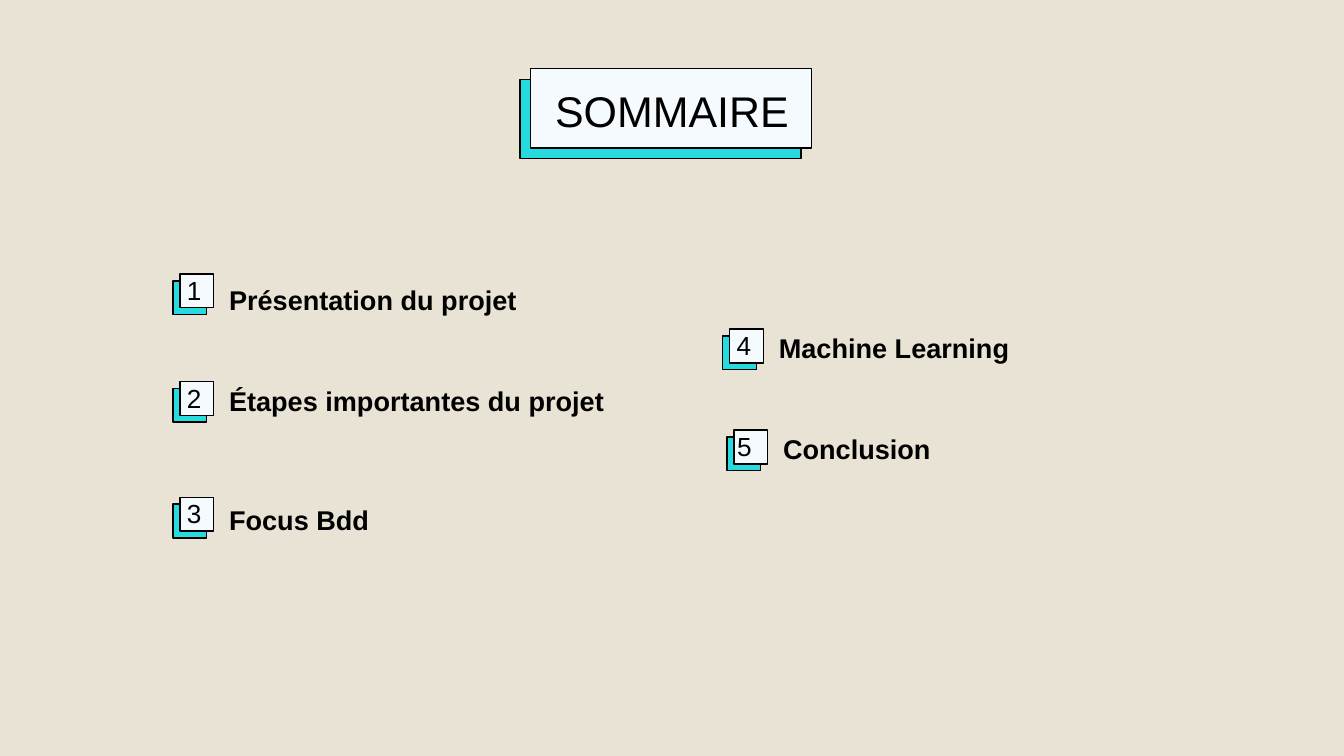
"""Build the SOMMAIRE slide: a framed title and five numbered topics."""
from pptx import Presentation
from pptx.dml.color import RGBColor
from pptx.enum.shapes import MSO_SHAPE
from pptx.enum.text import MSO_ANCHOR as ANCHOR, PP_ALIGN as ALIGN
from pptx.util import Cm, Pt

COLORS = {"background": "E8E3D4", "accent": "26DBE0", "panel": "F5FAFF", "ink": "000000"}
TITLE_FORMAT = {"name": "Arial", "size": Pt(23)}
NUMBER_FORMAT = {"name": "Arial", "size": Pt(14)}
LABEL_FORMAT = {"name": "Arial", "size": Pt(14.5), "bold": True}
TILE = 0.64

presentation = Presentation()
presentation.slide_width, presentation.slide_height = Cm(25.4), Cm(14.29)
slide = presentation.slides.add_slide(presentation.slide_layouts[6])
slide.background.fill.solid()
slide.background.fill.fore_color.rgb = RGBColor.from_string(COLORS["background"])


def add_panel(left, top, width, height, offset):
    layers = (("accent", left - offset, top + offset), ("panel", left, top))
    for color, x, y in layers:
        shape = slide.shapes.add_shape(MSO_SHAPE.RECTANGLE, Cm(x), Cm(y), Cm(width), Cm(height))
        shape.shadow.inherit = False
        shape.fill.solid()
        shape.fill.fore_color.rgb = RGBColor.from_string(COLORS[color])
        shape.line.color.rgb = RGBColor.from_string(COLORS["ink"])
        shape.line.width = Pt(0.75)


def add_text(text, left, top, width, height, font_format, align=ALIGN.LEFT, anchor=ANCHOR.TOP, side=0.25):
    box = slide.shapes.add_textbox(Cm(left), Cm(top), Cm(width), Cm(height))
    frame_format = {
        "word_wrap": True, "vertical_anchor": anchor,
        "margin_left": Cm(side), "margin_right": Cm(side),
        "margin_top": Cm(0.25), "margin_bottom": Cm(0.25),
    }
    for name, value in frame_format.items():
        setattr(box.text_frame, name, value)
    paragraph = box.text_frame.paragraphs[0]
    paragraph.text = text
    paragraph.alignment = align
    for name, value in font_format.items():
        setattr(paragraph.font, name, value)
    paragraph.font.color.rgb = RGBColor.from_string(COLORS["ink"])


add_panel(10.03, 1.3, 5.31, 1.5, 0.2)
add_text("SOMMAIRE", 10.23, 1.33, 4.95, 1.5, TITLE_FORMAT, ALIGN.CENTER, ANCHOR.MIDDLE)

topics = [
    ("Présentation du projet", 3.4, 5.18, 5.11, 0.05),
    ("Étapes importantes du projet", 3.4, 7.21, 7.01, 0.05),
    ("Focus Bdd", 3.4, 9.4, 9.27, 0.05),
    ("Machine Learning", 13.79, 6.22, 6.02, 0.05),
    ("Conclusion", 13.87, 8.13, 7.92, 0.12),
]
for number, (label, left, top, label_top, shift) in enumerate(topics, 1):
    add_panel(left, top, TILE, TILE, 0.13)
    add_text(str(number), left - shift, top - 0.24, TILE, 1.1, NUMBER_FORMAT, ALIGN.CENTER, side=0)
    add_text(label, left + 0.68, label_top, 7.82, 1.12, LABEL_FORMAT)

presentation.save("out.pptx")
